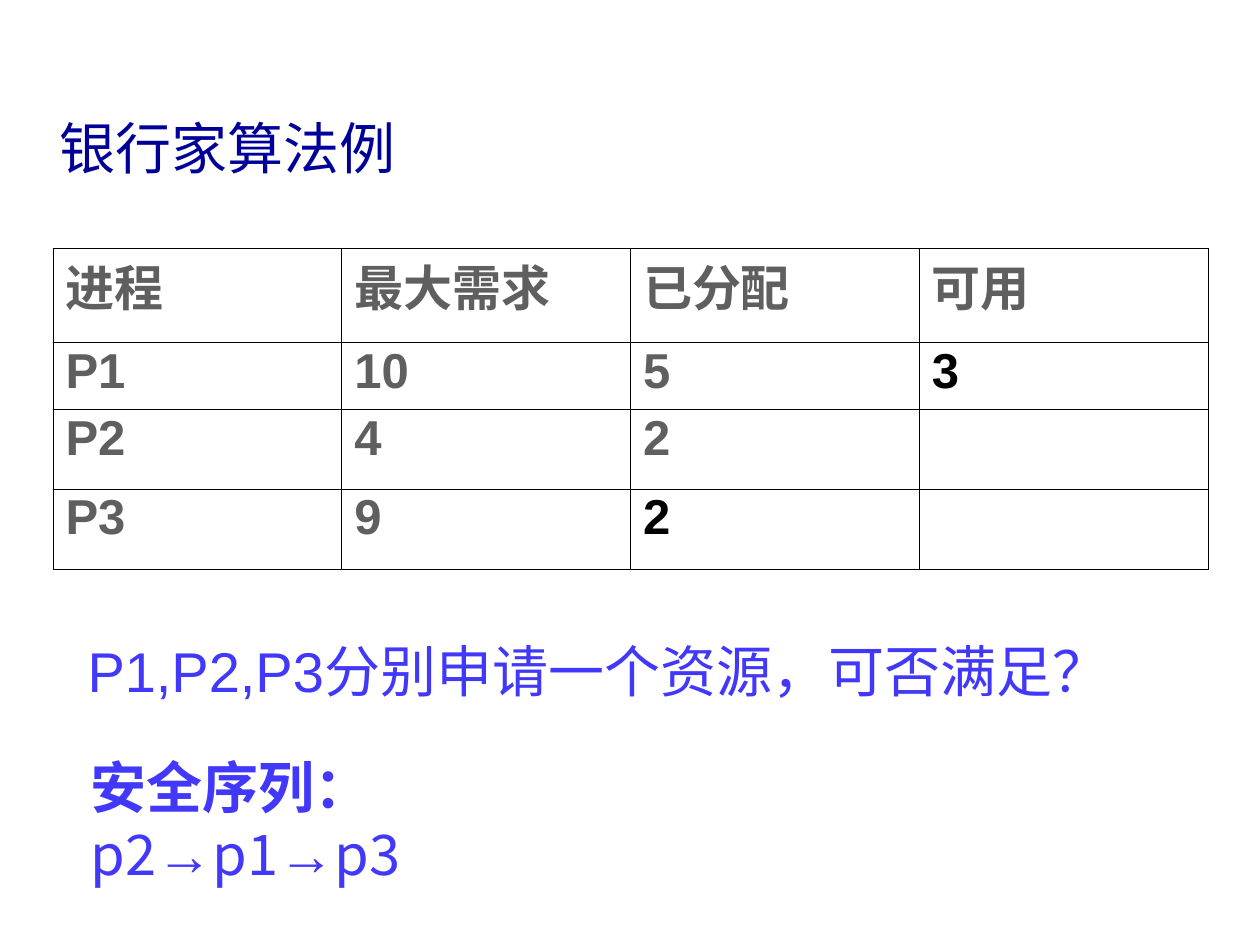
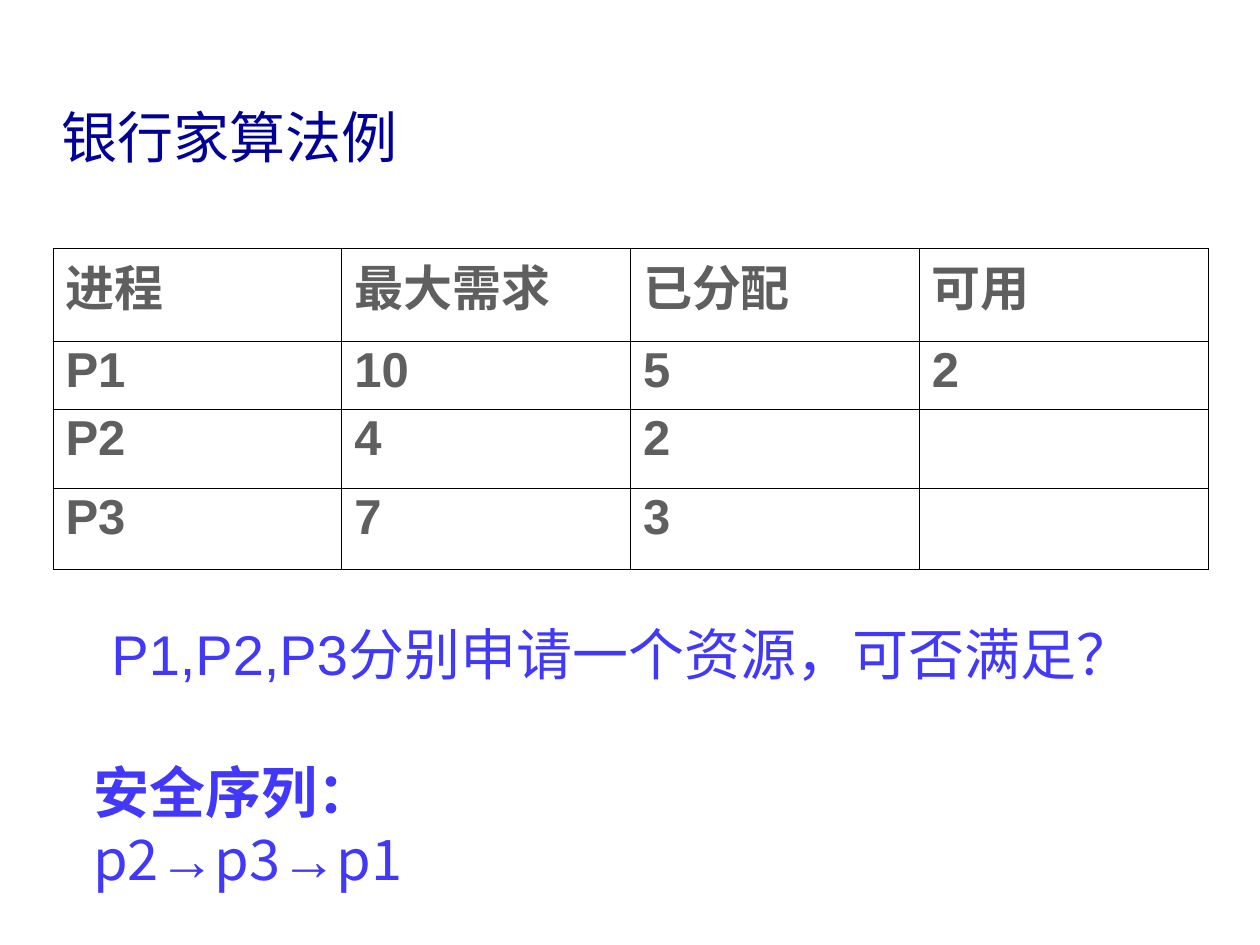
from dataclasses import dataclass

from lxml.etree import SubElement
from pptx import Presentation
from pptx.dml.color import RGBColor
from pptx.enum.text import MSO_ANCHOR, MSO_AUTO_SIZE, PP_ALIGN
from pptx.oxml.ns import qn
from pptx.slide import Slide
from pptx.table import _Cell
from pptx.text.text import Font, TextFrame
from pptx.util import Inches, Pt


@dataclass(frozen=True)
class Theme:
    title_color: RGBColor = RGBColor(0x00, 0x00, 0x99)
    note_color: RGBColor = RGBColor(0x41, 0x38, 0xFA)
    cell_color: RGBColor = RGBColor(0x5F, 0x5F, 0x5F)
    changed_color: RGBColor = RGBColor(0x00, 0x00, 0x00)
    border_color: str = "000000"
    large: Pt = Pt(32)
    cell_size: Pt = Pt(28)
    bottom_line: Pt = Pt(1.08)
    grid_line: Pt = Pt(0.45)
    title_font: str = "Times New Roman"
    body_font: str = "Arial"
    cjk_font: str = "Noto Sans CJK SC"


@dataclass(frozen=True)
class Position:
    left: float
    top: float


@dataclass(frozen=True)
class BankerExample:
    title_at: Position
    question_at: Position
    sequence_at: Position
    row_heights: tuple[float, ...]
    processes: tuple[tuple[str, ...], ...]
    changed_cells: frozenset[tuple[int, int]]
    safe_sequence: tuple[str, ...]


THEME = Theme()
TITLE = "银行家算法例"
HEADER = ("进程", "最大需求", "已分配", "可用")
QUESTION = "P1,P2,P3分别申请一个资源，可否满足？"
SEQUENCE_LABEL = "安全序列："
ARROW = "→"

EXAMPLES = (
    BankerExample(
        Position(0.37, 0.91), Position(0.43, 5), Position(0.62, 5.92),
        (0.75, 0.53, 0.63, 0.64),
        (("P1", "10", "5", "3"), ("P2", "4", "2", ""), ("P3", "9", "2", "")),
        frozenset({(1, 3), (3, 2)}),
        ("p2", "p1", "p3"),
    ),
    BankerExample(
        Position(0.39, 0.82), Position(0.62, 4.86), Position(0.64, 5.96),
        (0.74, 0.54, 0.63, 0.64),
        (("P1", "10", "5", "2"), ("P2", "4", "2", ""), ("P3", "7", "3", "")),
        frozenset(),
        ("p2", "p3", "p1"),
    ),
)


def set_font(font: Font, name: str, size: Pt, color: RGBColor,
             bold: bool = False, east_asian: str = "") -> None:
    """Set the Latin typeface, and the East Asian one where it differs."""
    font.name, font.size, font.bold = name, size, bold
    font.color.rgb = color
    SubElement(font._element, qn("a:ea"), typeface=east_asian or name)


def fix_frame(frame: TextFrame, anchor: MSO_ANCHOR) -> None:
    frame.word_wrap = True
    frame.auto_size = MSO_AUTO_SIZE.NONE
    frame.vertical_anchor = anchor


def add_title(slide: Slide, at: Position) -> None:
    title = slide.shapes.title
    title.left, title.top = Inches(at.left), Inches(at.top)
    title.width, title.height = Inches(9.18), Inches(0.58)
    fix_frame(title.text_frame, MSO_ANCHOR.TOP)
    title.text_frame.text = TITLE
    paragraph = title.text_frame.paragraphs[0]
    paragraph.alignment = PP_ALIGN.LEFT
    paragraph.line_spacing = 0.9
    set_font(paragraph.font, THEME.title_font, THEME.large, THEME.title_color,
             east_asian=THEME.cjk_font)


def set_borders(cell: _Cell, is_last_row: bool) -> None:
    """Draw a thin grid with a heavier line under the last row."""
    properties = cell._tc.get_or_add_tcPr()
    for side in ("lnL", "lnR", "lnT", "lnB"):
        heavy = is_last_row and side == "lnB"
        width = THEME.bottom_line if heavy else THEME.grid_line
        line = SubElement(properties, qn(f"a:{side}"), w=str(int(width)))
        fill = SubElement(line, qn("a:solidFill"))
        SubElement(fill, qn("a:srgbClr"), val=THEME.border_color)


def add_process_table(slide: Slide, example: BankerExample) -> None:
    rows = (HEADER, *example.processes)
    table = slide.shapes.add_table(
        len(rows), len(HEADER), Inches(0.42), Inches(1.97),
        Inches(9.17), Inches(sum(example.row_heights)),
    ).table
    table.first_row = table.horz_banding = False
    for row, height in zip(table.rows, example.row_heights):
        row.height = Inches(height)
    for r, values in enumerate(rows):
        for c, value in enumerate(values):
            cell = table.cell(r, c)
            cell.text = value
            cell.margin_top = Inches(0.05 if r else 0.15)
            set_borders(cell, r == len(rows) - 1)
            cell.fill.background()
            paragraph = cell.text_frame.paragraphs[0]
            paragraph.line_spacing = 0.9
            paragraph.space_before = Pt(10.5)
            changed = (r, c) in example.changed_cells
            color = THEME.changed_color if changed else THEME.cell_color
            set_font(paragraph.font, THEME.body_font, THEME.cell_size, color, bold=True)


def add_note(slide: Slide, at: Position, width: float, height: float,
             anchor: MSO_ANCHOR) -> TextFrame:
    frame = slide.shapes.add_textbox(
        Inches(at.left), Inches(at.top), Inches(width), Inches(height)).text_frame
    fix_frame(frame, anchor)
    return frame


def add_question(slide: Slide, at: Position) -> None:
    frame = add_note(slide, at, 8.64, 0.64, MSO_ANCHOR.MIDDLE)
    frame.text = QUESTION
    paragraph = frame.paragraphs[0]
    paragraph.alignment = PP_ALIGN.CENTER
    set_font(paragraph.font, THEME.body_font, THEME.large, THEME.note_color)


def add_safe_sequence(slide: Slide, example: BankerExample) -> None:
    paragraph = add_note(slide, example.sequence_at, 4.98, 1.18, MSO_ANCHOR.TOP).paragraphs[0]

    def add_part(text: str, font_name: str, bold: bool = False) -> None:
        part = paragraph.add_run()
        part.text = text
        set_font(part.font, font_name, THEME.large, THEME.note_color, bold)

    add_part(SEQUENCE_LABEL, THEME.cjk_font, bold=True)
    paragraph.add_line_break()
    for position, process in enumerate(example.safe_sequence):
        if position:
            add_part(ARROW, THEME.body_font)
        add_part(process, THEME.cjk_font)


def main() -> None:
    deck = Presentation()
    deck.slide_width, deck.slide_height = Inches(10), Inches(7.5)
    title_only = deck.slide_layouts[5]
    for example in EXAMPLES:
        slide = deck.slides.add_slide(title_only)
        add_title(slide, example.title_at)
        add_process_table(slide, example)
        add_safe_sequence(slide, example)
        add_question(slide, example.question_at)
    deck.save("out.pptx")


if __name__ == "__main__":
    main()
